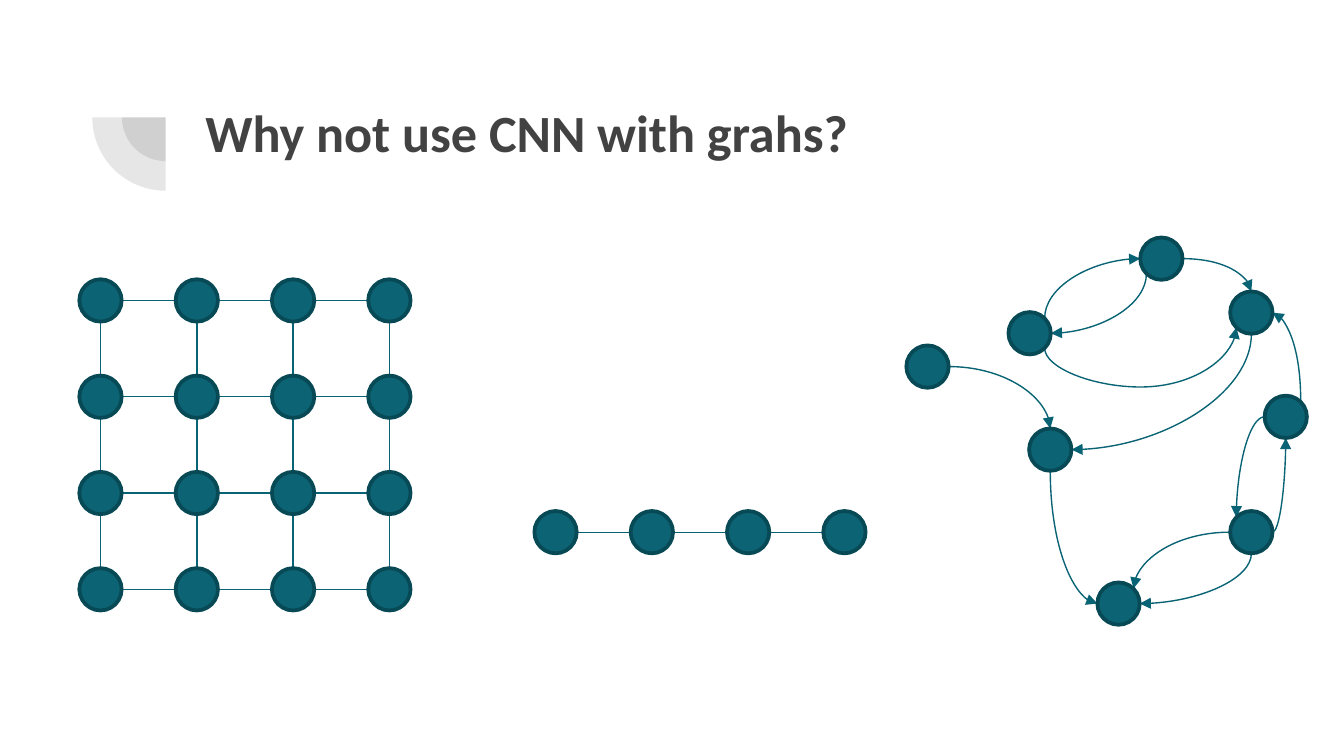
"""Builds a slide comparing a grid, a chain and an irregular directed graph."""
from dataclasses import dataclass
from itertools import product

from lxml import etree
from pptx import Presentation
from pptx.dml.color import RGBColor
from pptx.enum.shapes import MSO_CONNECTOR, MSO_SHAPE
from pptx.enum.text import MSO_ANCHOR
from pptx.oxml.ns import qn
from pptx.util import Cm, Pt

PIE, OVAL = MSO_SHAPE.PIE, MSO_SHAPE.OVAL
STRAIGHT, CURVE = MSO_CONNECTOR.STRAIGHT, MSO_CONNECTOR.CURVE
TOP = MSO_ANCHOR.TOP


@dataclass(frozen=True)
class Theme:
    font: str = "Calibri"
    title_size: float = 28
    ink: RGBColor = RGBColor(0x42, 0x42, 0x42)
    node: RGBColor = RGBColor(0x0B, 0x63, 0x74)
    rim: RGBColor = RGBColor(0x08, 0x49, 0x56)
    edge: RGBColor = RGBColor(0x08, 0x63, 0x74)
    rim_width: float = 2
    edge_width: float = 0.75


NODE_SIZE = 0.8
STEP = 1.82
GRID_ORIGIN = (1.9, 5.68)
CHAIN_ORIGIN = (10.5, 10.06)

COMPASS = {
    "N": (0, -1), "S": (0, 1), "E": (1, 0), "W": (-1, 0),
    "NE": (0.71, -0.71), "NW": (-0.71, -0.71),
    "SE": (0.71, 0.71), "SW": (-0.71, 0.71),
}
GRAPH_NODES = {
    "A": (19.46, 6.3), "B": (17.53, 6.93), "C": (19.85, 8.5), "D": (21.95, 4.89),
    "E": (21.14, 11.41), "F": (23.65, 5.91), "G": (23.65, 10.06), "H": (24.3, 7.88),
}
GRAPH_EDGES = [
    ("B", "E", "C", "N"), ("C", "S", "E", "W"), ("A", "NE", "D", "W"),
    ("F", "S", "C", "E"), ("G", "W", "E", "NE"), ("D", "SW", "A", "E"),
    ("G", "S", "E", "E"), ("H", "W", "G", "NW"), ("G", "E", "H", "S"),
    ("D", "E", "F", "N"), ("H", "NE", "F", "E"),
]


class SlideBuilder:
    def __init__(self, s, theme):
        self.s, self.theme = s, theme

    def title(self, text, x, y, w, h):
        tf = self.s.shapes.add_textbox(Cm(x), Cm(y), Cm(w), Cm(h)).text_frame
        tf.word_wrap = True
        tf.vertical_anchor = TOP
        tf.margin_left = tf.margin_right = tf.margin_top = tf.margin_bottom = Cm(0.25)
        p = tf.paragraphs[0]
        p.text = text
        p.font.name, p.font.size, p.font.bold = self.theme.font, Pt(self.theme.title_size), True
        p.font.color.rgb = self.theme.ink

    def _shape(self, kind, center, size, color):
        x, y = (c - size / 2 for c in center)
        sp = self.s.shapes.add_shape(kind, Cm(x), Cm(y), Cm(size), Cm(size))
        sp.shadow.inherit = False
        sp.fill.solid()
        sp.fill.fore_color.rgb = color
        return sp

    def quarter(self, center, size):
        sp = self._shape(PIE, center, size, self.theme.ink)
        sp.adjustments[0], sp.adjustments[1] = 108, 162
        sp.rotation = 270
        sp.line.fill.background()
        color = sp._element.spPr.find(qn("a:solidFill"))[0]
        etree.SubElement(color, qn("a:alpha"), val="13000")

    def node(self, center):
        sp = self._shape(OVAL, center, NODE_SIZE, self.theme.node)
        sp.line.color.rgb = self.theme.rim
        sp.line.width = Pt(self.theme.rim_width)

    def link(self, start, end, kind=STRAIGHT):
        c = self.s.shapes.add_connector(kind, *map(Cm, (*start, *end)))
        c.line.color.rgb = self.theme.edge
        c.line.width = Pt(self.theme.edge_width)
        etree.SubElement(c._element.spPr, qn("a:effectLst"))
        return c

    def arc(self, start, end, vertical, bend=None):
        if vertical:
            (x1, y1), (x2, y2) = start, end
            mx, my, dx, dy = (x1 + x2) / 2, (y1 + y2) / 2, (x2 - x1) / 2, (y2 - y1) / 2
            start, end = (mx - dy, my + dx), (mx + dy, my - dx)
        c = self.link(start, end, CURVE)
        spPr = c._element.spPr
        if vertical:
            spPr.find(qn("a:xfrm")).set("rot", "5400000")
        geom = spPr.find(qn("a:prstGeom"))
        if bend is None:
            geom.set("prst", "curvedConnector2")
        else:
            etree.SubElement(geom.find(qn("a:avLst")), qn("a:gd"),
                             name="adj1", fmla=f"val {round(bend * 100000)}")
        etree.SubElement(spPr.find(qn("a:ln")), qn("a:tailEnd"), type="triangle")

    def lattice(self, origin, cols, rows):
        spots = {(i, j): (origin[0] + i * STEP, origin[1] + j * STEP)
                 for i, j in product(range(cols), range(rows))}
        for (i, j), center in spots.items():
            for neighbour in ((i + 1, j), (i, j + 1)):
                if neighbour in spots:
                    self.link(center, spots[neighbour])
        for center in spots.values():
            self.node(center)

    def graph(self):
        self.arc(rim_point("A", "SE"), rim_point("F", "SW"), True, -1.88)
        for source, leave, target, enter in GRAPH_EDGES:
            self.arc(rim_point(source, leave), rim_point(target, enter), leave not in "EW")
        for center in GRAPH_NODES.values():
            self.node(center)


def rim_point(name, side):
    return tuple(c + NODE_SIZE / 2 * d for c, d in zip(GRAPH_NODES[name], COMPASS[side]))


def main():
    prs = Presentation()
    prs.slide_width, prs.slide_height = Cm(25.4), Cm(14.29)
    b = SlideBuilder(prs.slides.add_slide(prs.slide_layouts[6]), Theme())
    for size in (1.65, 2.77):
        b.quarter((3.13, 2.22), size)
    b.title("Why not use CNN with grahs?", 3.63, 1.65, 19.53, 2.77)
    b.graph()
    b.lattice(GRID_ORIGIN, 4, 4)
    b.lattice(CHAIN_ORIGIN, 4, 1)
    prs.save("out.pptx")


if __name__ == "__main__":
    main()
